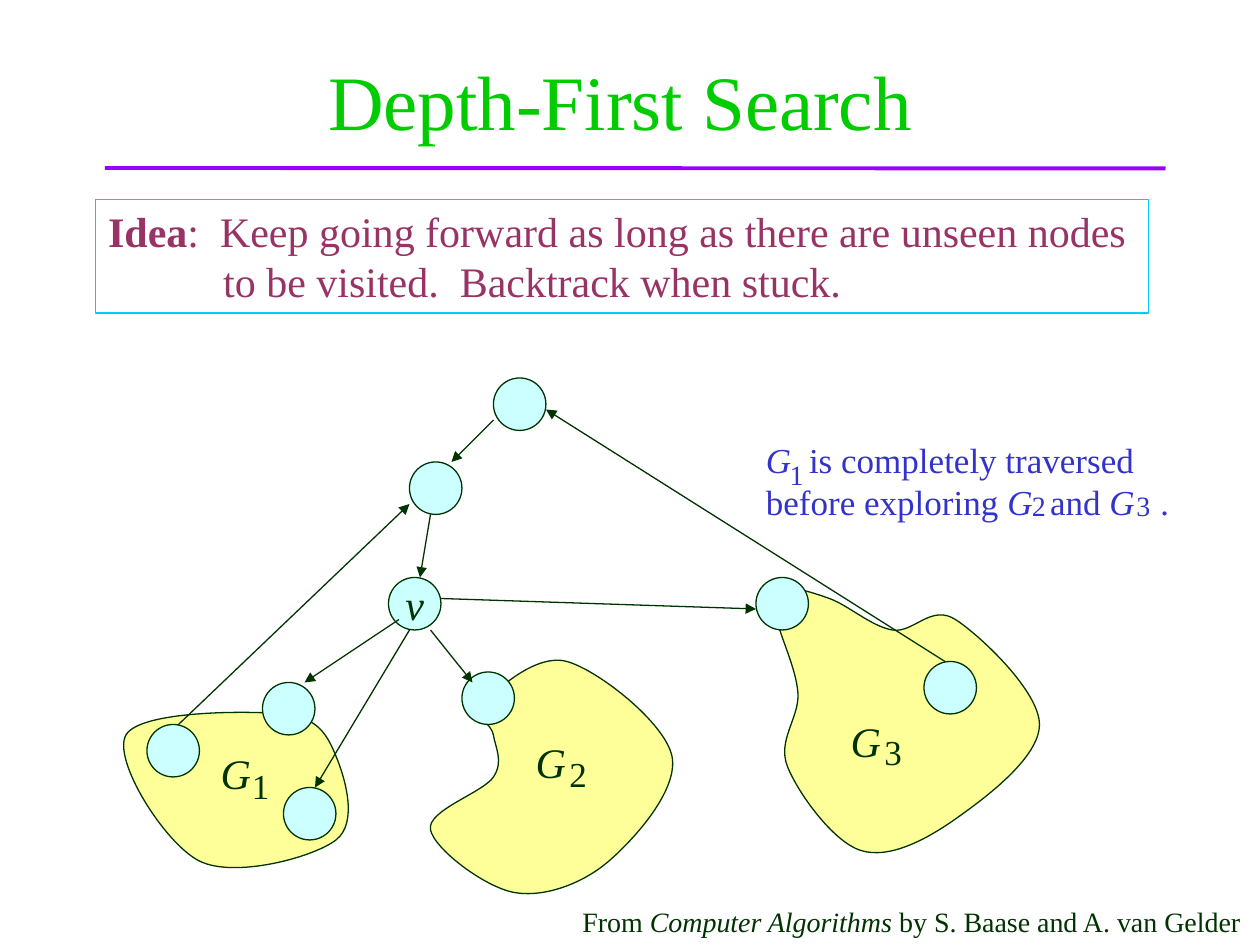
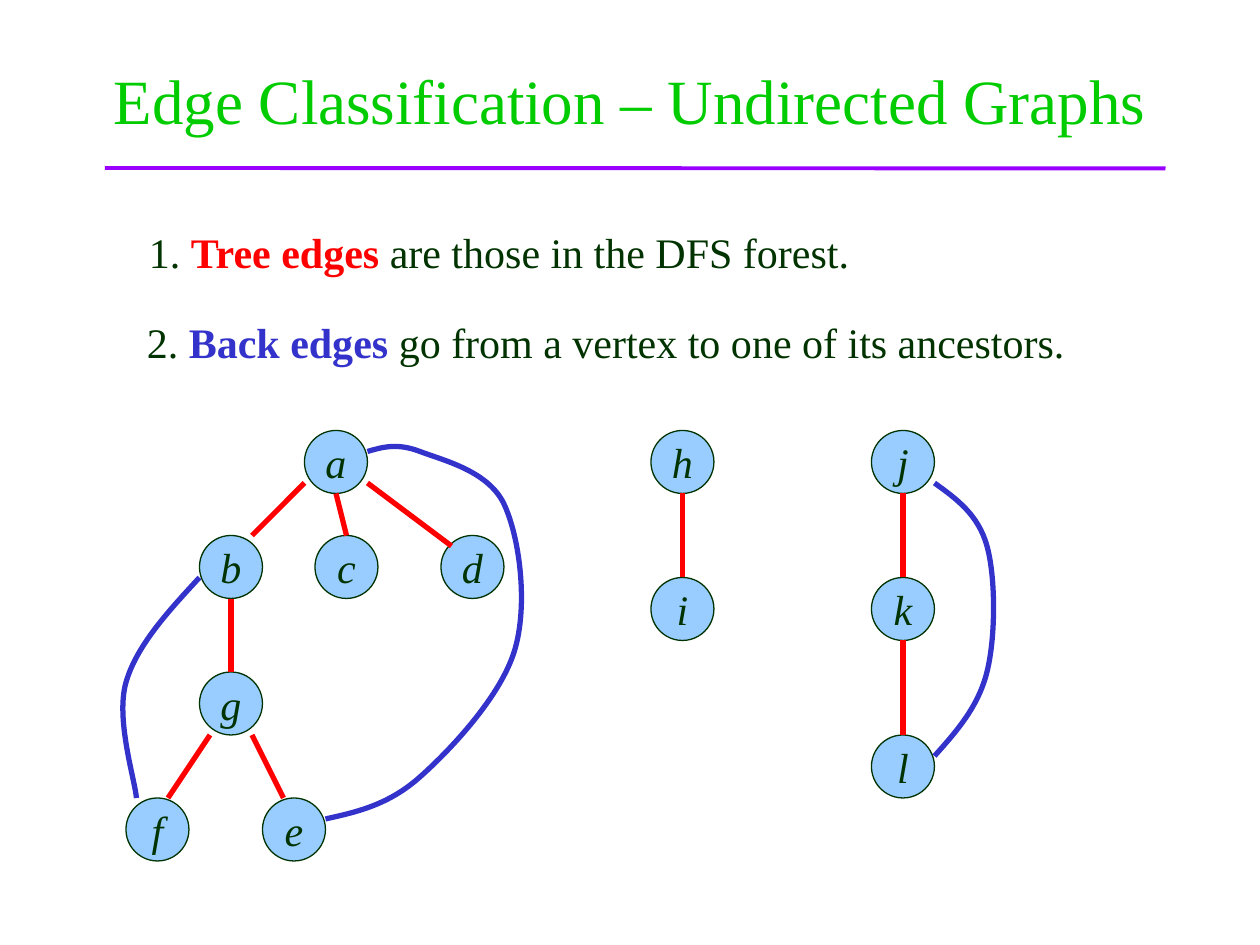
from lxml.etree import SubElement
from pptx import Presentation
from pptx.dml.color import RGBColor as Rgb
from pptx.enum.shapes import MSO_CONNECTOR as Link, MSO_SHAPE as Kind
from pptx.enum.text import MSO_ANCHOR as Anchor, MSO_AUTO_SIZE as Fit, PP_ALIGN as Align
from pptx.oxml.ns import qn
from pptx.util import Cm, Pt

FONT = "Times New Roman"
COLORS = {"title": "00CC00", "rule": "9900FF", "ink": "003300", "idea": "993366",
          "frame": "00CCFF", "node": "CCFFFF", "region": "FFFF99", "vertex": "99CCFF",
          "tree": "FF0000", "back": "3333CC"}
GRID = 2.54 / 12  # drawings sit on a grid of twelve steps to 2.54 cm

# ---- Content: runs are (text, colour, style); boxes are left, top, width, height in cm
IDEA = [[("Idea", "idea", "b"),
         (":  Keep going forward as long as there are unseen nodes", "idea", "")],
        [("to be visited.  Backtrack when stuck.", "idea", "")]]
NOTE = [[("G", "back", "i"), ("\tis completely traversed", "back", "")],
        [("before exploring ", "back", ""), ("G", "back", "i"), ("\tand ", "back", ""),
         ("G\t.", "back", "i")]]
NOTE_TABS = (0.87, 5.73, 7.97)
NOTE_SUBS = [("1", 15.67, 9.09), ("2", 20.55, 9.73), ("3", 22.66, 9.73)]
SOURCE = [[("From ", "ink", ""), ("Computer Algorithms", "ink", "i"),
           (" by S. Baase and A. van Gelder", "ink", "")]]
RULES = [((2.75, 4.44, 14.71, 1.27),
          [("1. ", "ink", ""), ("Tree edges", "tree", "b"),
           (" are those in the DFS forest.", "ink", "")]),
         ((2.71, 6.25, 19.1, 1.27),
          [("2. ", "ink", ""), ("Back edges", "back", "b"),
           (" go from a vertex to one of its ancestors.", "ink", "")])]
# Region number, place of its G, place of its digit
LABELS = [("1", (4.2, 14.94), (4.83, 15.29)),
          ("2", (10.55, 14.73), (11.23, 15.04)),
          ("3", (16.9, 14.3), (17.58, 14.6))]

# ---- Drawings, in grid steps
REGIONS = [
    [(27, 68), (32, 72), (32, 80), (19, 82), (12, 70)],
    [(47, 74), (47, 70), (46, 67), (54, 63), (64, 72), (58, 82), (49, 85), (41, 79)],
    [(74, 59), (74, 56), (79, 57), (85, 60), (91, 59), (99, 69), (91, 78), (82, 81),
     (75, 73), (76, 66)]]
NODES = [(47, 36, ""), (37, 55, "v"), (39, 44, ""), (72, 55, ""), (88, 63, ""),
         (44, 64, ""), (27, 75, ""), (14, 69, ""), (25, 65, "")]
MOVES = [((47, 40), (43, 44)), ((41, 49), (40, 55)), ((38, 59), (29, 65)),
         ((39, 60), (30, 75)), ((41, 60), (45, 65)), ((42, 57), (72, 58)),
         ((90, 63), (52, 39)), ((17, 69), (39, 48))]
FOREST = [(29, 41, "a"), (19, 51, "b"), (25, 76, "e"), (12, 76, "f"), (19, 64, "g"),
          (42, 51, "d"), (30, 51, "c"), (62, 55, "i"), (62, 41, "h"), (83, 70, "l"),
          (83, 55, "k"), (83, 41, "j")]
TREE = [((29, 46), (24, 51)), ((32, 47), (33, 51)), ((35, 46), (43, 52)),
        ((22, 57), (22, 64)), ((20, 70), (16, 76)), ((24, 70), (27, 76)),
        ((65, 47), (65, 55)), ((86, 47), (86, 55)), ((86, 61), (86, 70))]
# A doubled last knot keeps the curve's end steep
BACK = [[(19, 55), (12, 65), (13, 76), (13, 76)],
        [(31, 78), (40, 74), (49, 62), (48, 48), (40, 43), (35, 43)],
        [(89, 72), (94, 64), (94, 52), (89, 46)]]


def color(name):
    return Rgb.from_string(COLORS[name])


def step(count):
    return Cm(count * GRID)


# ---- Text
def write(frame, lines, size, align=None, tabs=(), hang=0):
    """Fill a frame; hang indents every line after the first."""
    for row, runs in enumerate(lines):
        para = frame.paragraphs[0] if row == 0 else frame.add_paragraph()
        props = para._p.get_or_add_pPr()
        if hang and row:
            props.set("marL", str(Cm(hang)))
        if tabs:
            stops = SubElement(props, qn("a:tabLst"))
            for pos in tabs:
                SubElement(stops, qn("a:tab"), pos=str(Cm(pos)), algn="l")
        if align is not None:
            para.alignment = align
        for text, tint, style in runs:
            run = para.add_run()
            run.text = text
            font = run.font
            font.name, font.size = FONT, Pt(size)
            font.bold, font.italic = "b" in style, "i" in style
            font.color.rgb = color(tint)


def add_text(slide, box, lines, size, **more):
    frame = slide.shapes.add_textbox(*map(Cm, box)).text_frame
    frame.word_wrap = False
    frame.auto_size = Fit.SHAPE_TO_FIT_TEXT
    write(frame, lines, size, **more)


# ---- Shapes
def paint(shape, fill, line, width=0.75):
    shape.shadow.inherit = False
    if fill:
        shape.fill.solid()
        shape.fill.fore_color.rgb = color(fill)
    else:
        shape.fill.background()
    shape.line.color.rgb = color(line)
    shape.line.width = Pt(width)


def add_node(slide, left, top, name, size, fill):
    node = slide.shapes.add_shape(Kind.OVAL, step(left), step(top), step(size), step(size))
    paint(node, fill, "ink")
    if name:
        frame = node.text_frame
        frame.word_wrap = False
        frame.vertical_anchor = Anchor.MIDDLE
        write(frame, [[(name, "ink", "i")]], 24, Align.CENTER)


def add_line(slide, start, end, tint, width, arrow=False):
    line = slide.shapes.add_connector(Link.STRAIGHT, *map(step, start + end))
    line.line.color.rgb = color(tint)
    line.line.width = Pt(width)
    if arrow:
        SubElement(line.line._get_or_add_ln(), qn("a:tailEnd"), type="triangle")
    SubElement(line._element.spPr, qn("a:effectLst"))


def smooth(knots, closed):
    """First knot, then two handles and a knot per arc; tangents follow the neighbours."""
    count = len(knots)

    def handle(i, sign):
        (ax, ay), (bx, by) = knots[i - 1], knots[(i + 1) % count]
        x, y = knots[i]
        return x + sign * (bx - ax) / 6, y + sign * (by - ay) / 6

    def middle(p, q):
        return (p[0] + q[0]) / 2, (p[1] + q[1]) / 2

    points = [knots[0]]
    for i in range(count if closed else count - 1):
        j = (i + 1) % count
        if knots[i] == knots[j]:
            continue
        out, into = handle(i, 1), handle(j, -1)
        if not closed and i == 0:
            out = middle(knots[i], into)
        if not closed and j == count - 1:
            into = middle(out, knots[j])
        points += [out, into, knots[j]]
    return points


def add_curve(slide, knots, fill, line, width, closed):
    points = [(step(x), step(y)) for x, y in smooth(knots, closed)]
    build = slide.shapes.build_freeform(*points[0])
    build.add_line_segments(points[1:], close=closed)
    shape = build.convert_to_shape()
    # Join each three straight segments into one cubic arc
    legs = list(shape._element.iter(qn("a:lnTo")))
    for first in range(0, len(legs), 3):
        arc = legs[first]
        arc.tag = qn("a:cubicBezTo")
        for leg in legs[first + 1:first + 3]:
            arc.append(leg[0])
            leg.getparent().remove(leg)
    paint(shape, fill, line, width)


# ---- Slides
def add_slide(deck, title, size):
    slide = deck.slides.add_slide(deck.slide_layouts[5])
    head = slide.shapes.title
    head.left, head.top, head.width, head.height = map(Cm, (1.9, 0.42, 21.6, 3.17))
    head.text_frame.vertical_anchor = Anchor.MIDDLE
    write(head.text_frame, [[(title, "title", "")]], size, Align.CENTER)
    add_line(slide, (10, 16), (111, 16.04), "rule", 2.25)
    return slide


def add_search(deck):
    slide = add_slide(deck, "Depth-First Search ", 44)
    frame = slide.shapes.add_shape(Kind.RECTANGLE, *map(Cm, (1.93, 4.02, 21.23, 2.29)))
    paint(frame, None, "frame")
    frame.text_frame.word_wrap = False
    frame.text_frame.vertical_anchor = Anchor.TOP
    write(frame.text_frame, IDEA, 24, Align.LEFT, hang=2.32)

    # Graph
    for knots in REGIONS:
        add_curve(slide, knots, "region", "ink", 0.75, True)
    for node in NODES:
        add_node(slide, *node, 5, "node")
    for start, end in MOVES:
        add_line(slide, start, end, "ink", 0.75, arrow=True)

    # Labels, note and source
    for digit, big, small in LABELS:
        add_text(slide, big + (1.12, 1.27), [[("G", "ink", "i")]], 24)
        add_text(slide, small + (0.86, 1.12), [[(digit, "ink", "")]], 20)
    add_text(slide, (15.19, 8.71, 8.81, 1.96), NOTE, 20, tabs=NOTE_TABS)
    for digit, left, top in NOTE_SUBS:
        add_text(slide, (left, top, 0.79, 0.94), [[(digit, "back", "")]], 16)
    add_text(slide, (11.49, 18.11, 13.82, 0.94), SOURCE, 16)


def add_edges(deck):
    slide = add_slide(deck, "Edge Classification – Undirected Graphs", 36)
    for box, runs in RULES:
        add_text(slide, box, [runs], 24)
    for node in FOREST:
        add_node(slide, *node, 6, "vertex")
    for start, end in TREE:
        add_line(slide, start, end, "tree", 3)
    for knots in BACK:
        add_curve(slide, knots, None, "back", 3, False)


def main():
    deck = Presentation()
    deck.slide_width, deck.slide_height = Cm(25.4), Cm(19.05)
    add_search(deck)
    add_edges(deck)
    deck.save("out.pptx")


if __name__ == "__main__":
    main()
